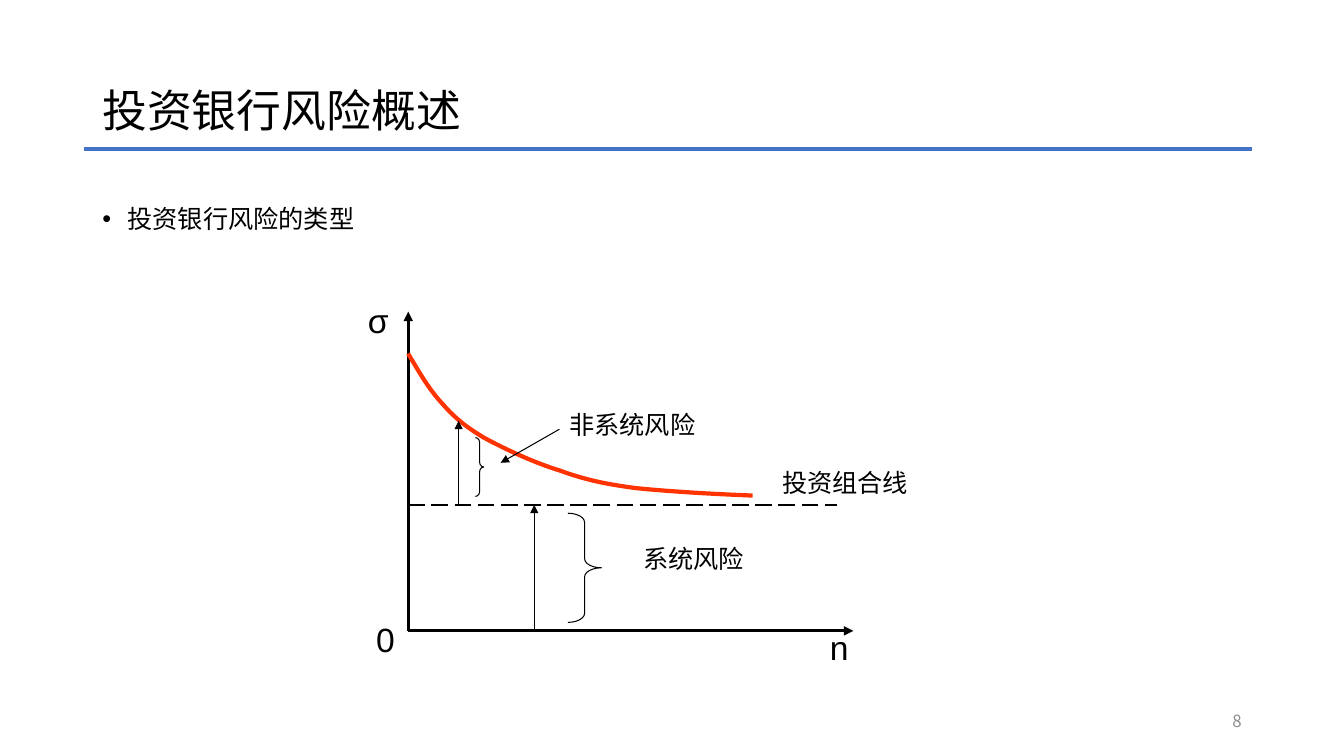
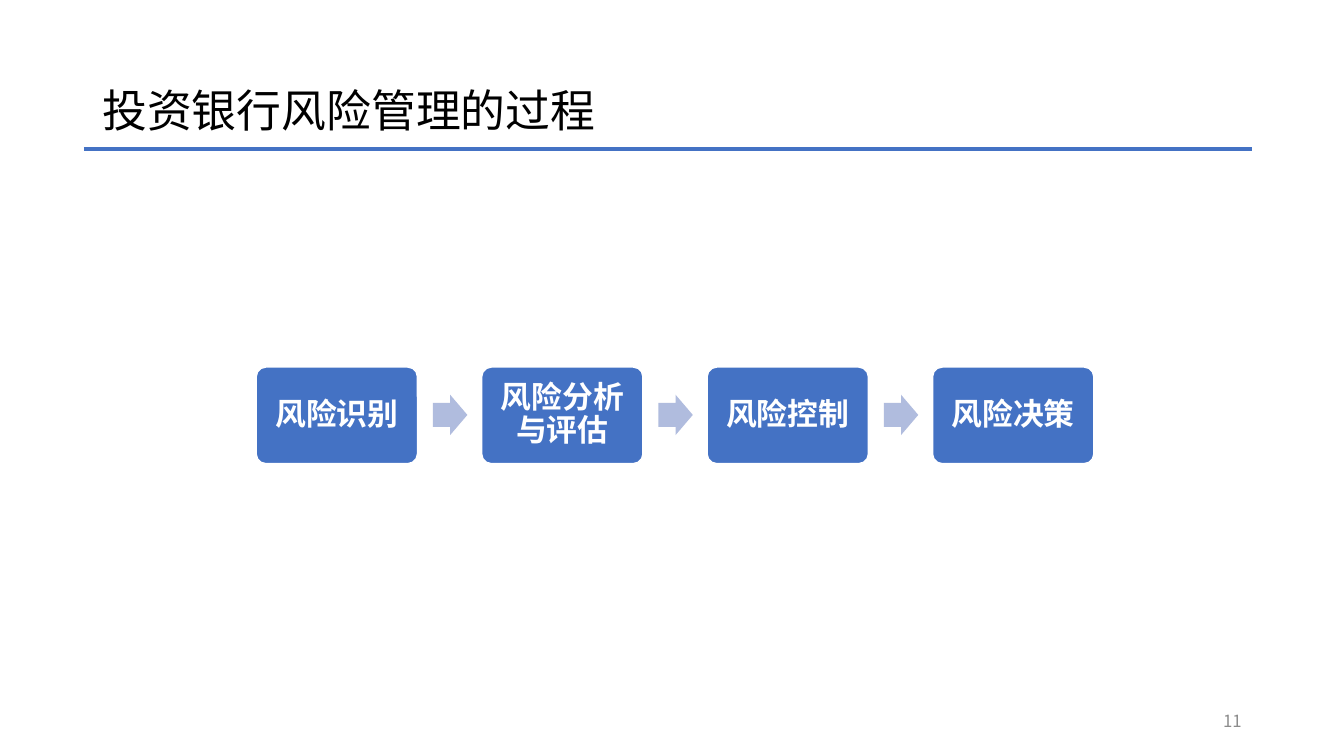
from lxml.etree import SubElement
from pptx import Presentation
from pptx.dml.color import RGBColor
from pptx.enum.dml import MSO_LINE
from pptx.enum.shapes import MSO_CONNECTOR, MSO_SHAPE as Shape
from pptx.enum.text import MSO_ANCHOR as Anchor, PP_ALIGN as Align
from pptx.oxml.ns import qn
from pptx.util import Inches, Pt

COLORS = {"ink": "000000", "blue": "4472C4", "pale": "B0BCDE",
          "red": "FF3300", "gray": "8C8C8C", "white": "FFFFFF"}
CJK, LATIN = "Noto Sans CJK SC", "Arial"
COLS, ROWS = 160, 90
WIDTH, HEIGHT = Inches(13.33), Inches(7.5)


def rgb(name):
    """Return the named palette colour."""
    return RGBColor.from_string(COLORS[name])


def write(tf, text, size=18, color="ink", font=CJK, bold=False, align=Align.LEFT,
          anchor=Anchor.TOP, spacing=1.0, before=0, bullet=False, margins=(0.1, 0.05)):
    """Put one formatted paragraph into a text frame."""
    tf.word_wrap = True
    tf.vertical_anchor = anchor
    tf.margin_left = tf.margin_right = Inches(margins[0])
    tf.margin_top = tf.margin_bottom = Inches(margins[1])
    p = tf.paragraphs[0]
    p.alignment, p.line_spacing, p.space_before = align, spacing, Pt(before)
    if bullet:
        pPr = p._p.get_or_add_pPr()
        pPr.set("marL", str(Inches(0.25)))
        pPr.set("indent", str(-Inches(0.25)))
        SubElement(pPr, qn("a:buFont")).set("typeface", LATIN)
        SubElement(pPr, qn("a:buChar")).set("char", "•")
    r = p.add_run()
    r.text = text
    r.font.size, r.font.bold, r.font.name = Pt(size), bold, font
    r.font.color.rgb = rgb(color)
    SubElement(r._r.get_or_add_rPr(), qn("a:ea")).set("typeface", font)


def bezier(start, *curves, steps=10):
    """Sample a chain of cubic curves as points."""
    points = [start]
    for b, c, d in curves:
        a = points[-1]
        for t in (i / steps for i in range(1, steps + 1)):
            u = 1 - t
            points.append(tuple(u**3 * a[k] + 3 * u * u * t * b[k]
                                + 3 * u * t * t * c[k] + t**3 * d[k] for k in (0, 1)))
    return points


class Deck:
    """Hold the shared style and the current slide."""

    def __init__(self):
        """Start an empty presentation."""
        self.prs = Presentation()
        self.prs.slide_width, self.prs.slide_height = WIDTH, HEIGHT
        self.s = None

    def place(self, *cells):
        """Turn alternating columns and rows into slide lengths."""
        return [round(c * (HEIGHT / ROWS if i % 2 else WIDTH / COLS))
                for i, c in enumerate(cells)]

    def slide(self, title, number):
        """Add a slide with its title, rule and number."""
        self.s = self.prs.slides.add_slide(self.prs.slide_layouts[6])
        self.text((11, 4.8, 138, 17.4), title, size=32, anchor=Anchor.MIDDLE, spacing=0.9)
        self.line((10, 17.7), (149, 17.7), "blue", 3)
        self.text((113, 83.4, 36, 4.8), str(number), size=12, color="gray",
                  align=Align.RIGHT, anchor=Anchor.MIDDLE)

    def text(self, box, text, **fmt):
        """Add a text box."""
        write(self.s.shapes.add_textbox(*self.place(*box)).text_frame, text, **fmt)

    def line(self, start, end, color="ink", width=0.75, arrow=False, dash=None):
        """Add a straight line or arrow."""
        sp = self.s.shapes.add_connector(MSO_CONNECTOR.STRAIGHT, *self.place(*start, *end))
        sp.line.color.rgb, sp.line.width = rgb(color), Pt(width)
        if dash:
            sp.line.dash_style = dash
        if arrow:
            SubElement(sp.line._get_or_add_ln(), qn("a:tailEnd")).set("type", "triangle")
        SubElement(sp._element.spPr, qn("a:effectLst"))

    def paint(self, sp, fill=None, line=None, width=1):
        """Set fill and outline and drop the shadow."""
        sp.shadow.inherit = False
        if fill:
            sp.fill.solid()
            sp.fill.fore_color.rgb = rgb(fill)
        else:
            sp.fill.background()
        if line:
            sp.line.color.rgb, sp.line.width = rgb(line), Pt(width)
        else:
            sp.line.fill.background()

    def shape(self, kind, box, adjust, **style):
        """Add a preset shape."""
        sp = self.s.shapes.add_shape(kind, *self.place(*box))
        for i, value in enumerate(adjust):
            sp.adjustments[i] = value
        self.paint(sp, **style)
        return sp

    def curve(self, points, color, width):
        """Add an open curve through the points."""
        first, *rest = [self.place(*xy) for xy in points]
        builder = self.s.shapes.build_freeform(*first)
        builder.add_line_segments(rest, close=False)
        self.paint(builder.convert_to_shape(), line=color, width=width)


def risk_types(deck):
    """Draw risk against the number of holdings."""
    deck.slide("投资银行风险概述", 8)
    deck.text((11, 24, 138, 57), "投资银行风险的类型", spacing=0.9, before=10, bullet=True)

    def at(x, up):
        return 48.6 + x, 75.1 - up

    for end in ((53, 0), (0, 38)):
        deck.line(at(0, 0), at(*end), width=2.25, arrow=True)
    deck.line(at(0, 15), at(51, 15), width=1.5, dash=MSO_LINE.LONG_DASH)
    knots = ((1.3, 30.8), (2.5, 28.7), (4.1, 27), (5.5, 25.4), (6.7, 24.4), (9, 23),
             (11.4, 21.7), (15, 20), (18, 19.1), (21, 18), (23.3, 17.5), (27, 17),
             (30.8, 16.6), (36, 16.3), (41, 16.1))
    curves = [knots[i:i + 3] for i in range(0, len(knots), 3)]
    deck.curve([at(*xy) for xy in bezier((0, 33), *curves)], "red", 3)
    for start, end in (((15, 0), (15, 15)), ((6, 15), (6, 25)), ((18, 24), (11, 20))):
        deck.line(at(*start), at(*end), arrow=True)
    for x, up, w, h, bend in ((19, 14, 4, 13, 0.27), (8, 23, 1, 7, 0.58)):
        deck.shape(Shape.RIGHT_BRACE, (*at(x, up), w, h), (bend, 0.5), line="ink", width=0.75)
    for text, x, up, w, align in (("系统风险", 24, 11, 20, Align.CENTER),
                                  ("投资组合线", 41, 20, 22, Align.CENTER),
                                  ("非系统风险", 18, 27, 18, Align.LEFT)):
        deck.text((*at(x, up), w, 4.8), text, align=align)
    for text, x, up in (("n", 49, 1), ("σ", -6, 40), ("0", -5, 2)):
        deck.text((*at(x, up), 7, 6), text, size=24, font=LATIN)


def risk_process(deck):
    """Draw the steps of risk management."""
    deck.slide("投资银行风险管理的过程", 11)
    steps = ("风险识别", "风险分析与评估", "风险控制", "风险决策")
    for i, step in enumerate(steps):
        x = 30.5 + 26.84 * i
        if i:
            deck.shape(Shape.RIGHT_ARROW, (x - 5.8, 47, 4.1, 4.8), (0.6, 0.5), fill="pale")
        sp = deck.shape(Shape.ROUNDED_RECTANGLE, (x, 43.7, 19.2, 11.5), (0.1,),
                        fill="blue", line="white")
        write(sp.text_frame, step, size=22, color="white", bold=True, align=Align.CENTER,
              anchor=Anchor.MIDDLE, spacing=0.9, margins=(0.09, 0.09))


def main():
    """Build and save the slides."""
    deck = Deck()
    risk_types(deck)
    risk_process(deck)
    deck.prs.save("out.pptx")


if __name__ == "__main__":
    main()
